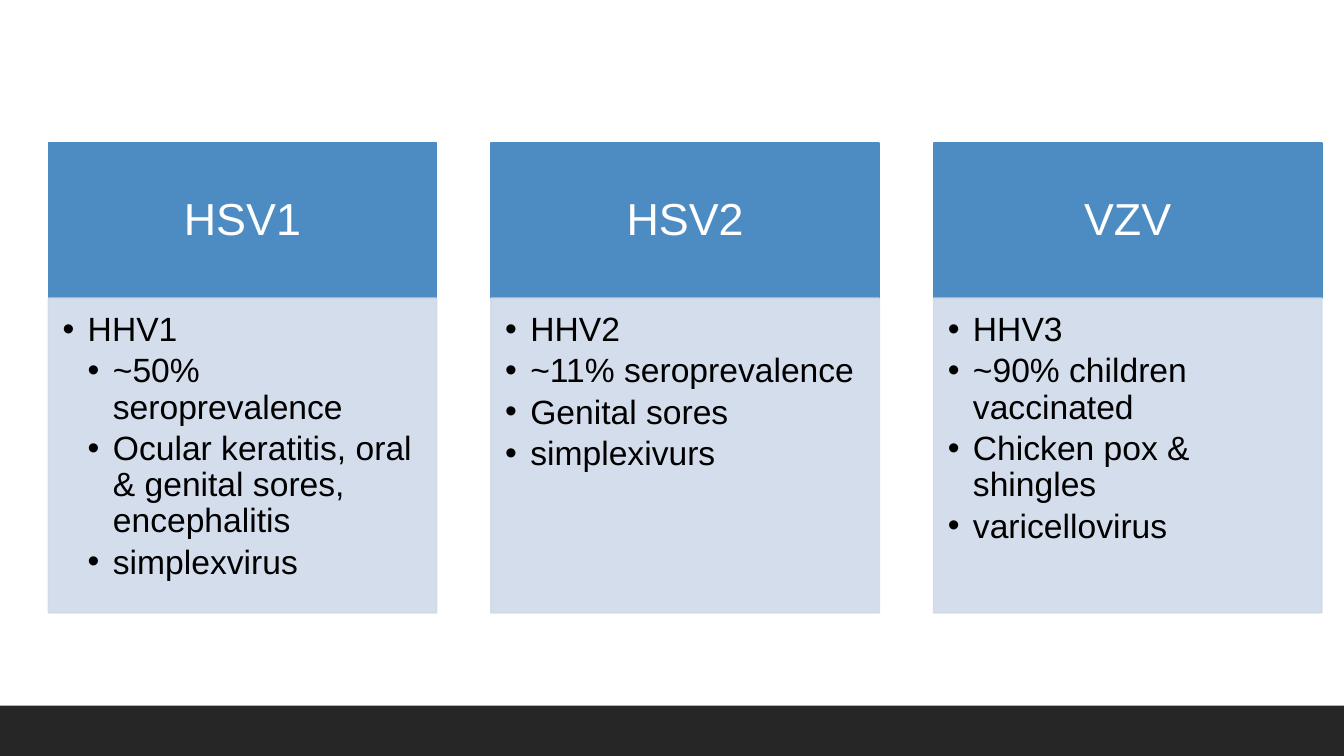
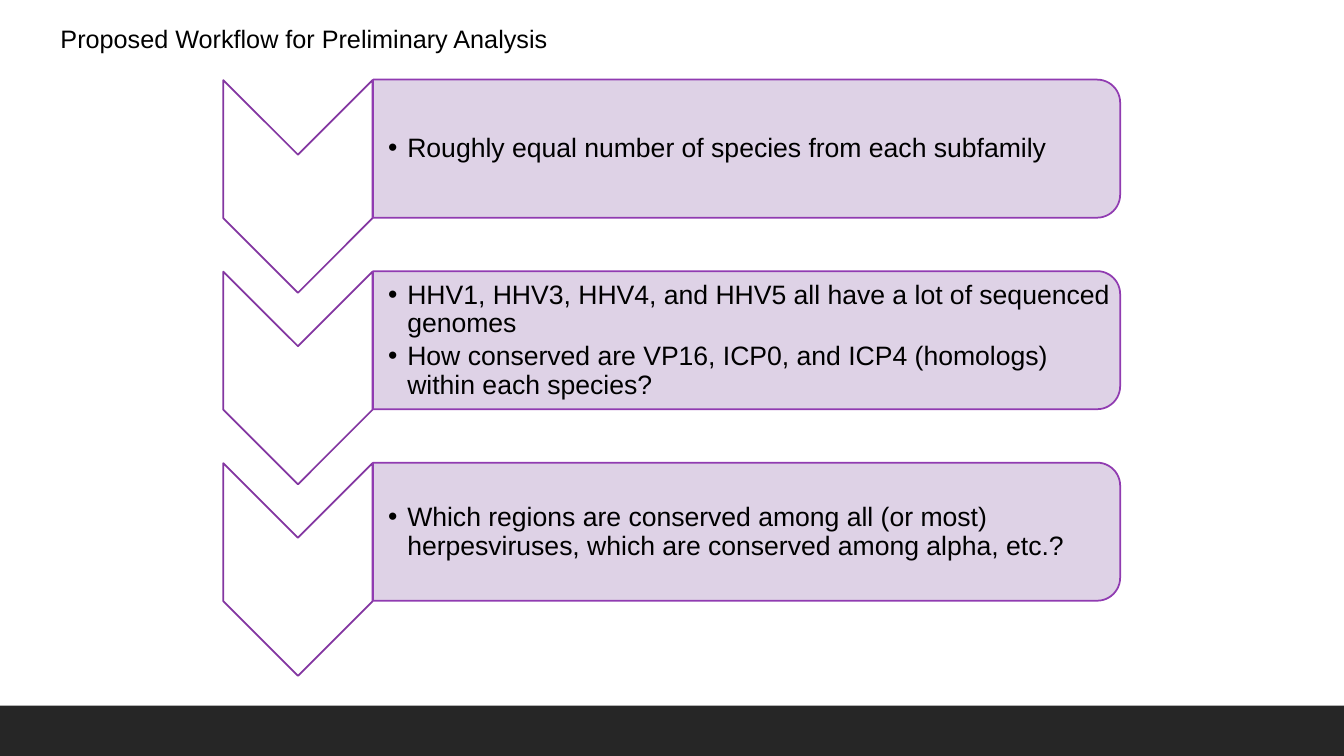
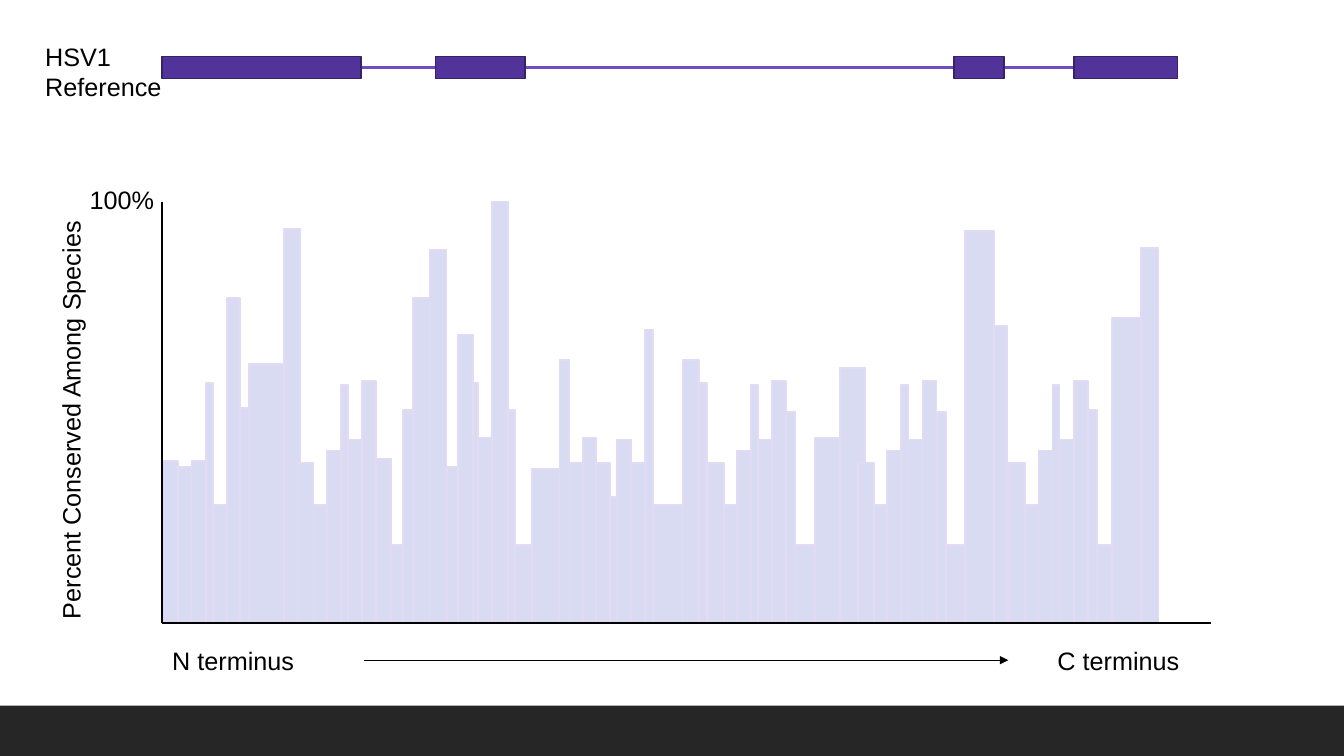
from lxml.etree import SubElement
from pptx import Presentation
from pptx.dml.color import RGBColor
from pptx.enum.shapes import MSO_CONNECTOR as LINK, MSO_SHAPE as KIND
from pptx.enum.text import MSO_ANCHOR as ANCHOR, MSO_AUTO_SIZE as FIT, PP_ALIGN as ALIGN
from pptx.oxml.ns import qn
from pptx.util import Pt

PX = 9144
WIDE, HIGH = 1333, 750
FONT = "Arial"
COLORS = {
    "white": "FFFFFF", "black": "000000", "band": "262626",
    "blue": "4D8CC3", "pale": "D0DAE9",
    "arrow": "8336A1", "lilac": "DBCEE4", "edge": "903BB1",
    "bar": "D8DBF1", "rim": "E2DBF3",
    "exon": "513399", "dark": "362266", "intron": "704DC3",
}
VIRUSES = [
    ("HSV1", [("HHV1", 0), ("~50% seroprevalence", 1),
              ("Ocular keratitis, oral & genital sores, encephalitis", 1),
              ("simplexvirus", 1)]),
    ("HSV2", [("HHV2", 0), ("~11% seroprevalence", 0),
              ("Genital sores", 0), ("simplexivurs", 0)]),
    ("VZV", [("HHV3", 0), ("~90% children vaccinated", 0),
             ("Chicken pox & shingles", 0), ("varicellovirus", 0)]),
]
STEPS = [
    ["Roughly equal number of species from each subfamily"],
    ["HHV1, HHV3, HHV4, and HHV5 all have a lot of sequenced genomes",
     "How conserved are VP16, ICP0, and ICP4 (homologs) within each species?"],
    ["Which regions are conserved among all (or most) herpesviruses, "
     "which are conserved among alpha, etc.?"],
]

ORIGIN, BASE = 161, 618
AXIS, RISE = 1040, 418
EXONS = [(0, 197), (271, 89), (785, 50), (904, 103)]

# (length, percent)
MOTIF = [(16, 38), (13, 28), (14, 41), (7, 56.5), (14, 43.5), (14, 57.5)]
DIP = [(9, 50), (19, 18.5)]
HEAD = [(16, 38.5), (13, 37), (14, 38.5), (7, 57), (14, 28), (13, 77),
        (9, 51), (35, 61.5), (16, 93.5)]
RAMP = [(15, 39), (12, 18.5), (10, 50.5), (16, 77), (17, 88.5)]
PEAK = [(11, 37), (15, 68.5), (5, 57), (14, 44), (16, 100), (7, 50.5),
        (17, 18.5), (27, 36.5), (10, 62.5)]
MIDDLE = [(13, 38), (13, 44), (14, 38), (7, 30), (14, 43.5), (14, 38),
          (8, 69.5), (29, 28), (16, 62.5), (8, 57)]
REGIONS = [
    (0, HEAD),
    (134, MOTIF + RAMP + PEAK + MIDDLE),
    (541, MOTIF + DIP + [(25, 44), (25, 60.5)]),
    (690, MOTIF + DIP + [(29, 93), (13, 70.5)]),
    (840, MOTIF + [(9, 50.5), (15, 18.5), (29, 72.5), (17, 89)]),
]


def tint(name):
    return RGBColor.from_string(COLORS[name])


def emu(lengths):
    return [n * PX for n in lengths]


def bullet(para, level, step):
    props = para._p.get_or_add_pPr()
    props.set("marL", str(step * (level + 1) * PX))
    props.set("indent", str(-step * PX))
    SubElement(props, qn("a:buFont"), typeface=FONT)
    SubElement(props, qn("a:buChar"), char="•")


def write(shape, items, size=18, color="black", align=ALIGN.LEFT, anchor=ANCHOR.TOP,
          inset=(10, 5, 10, 5), step=0, lines=1.0, after=0):
    frame = shape.text_frame
    frame.word_wrap = True
    frame.auto_size = FIT.NONE
    frame.vertical_anchor = anchor
    (frame.margin_left, frame.margin_top,
     frame.margin_right, frame.margin_bottom) = emu(inset)
    for i, (text, level) in enumerate(items):
        para = frame.paragraphs[0] if i == 0 else frame.add_paragraph()
        para.alignment = align
        para.line_spacing = lines
        para.space_before = Pt(0)
        para.space_after = Pt(after)
        if step:
            para.level = level
            bullet(para, level, step)
        run = para.add_run()
        run.text = text
        run.font.name = FONT
        run.font.size = Pt(size)
        run.font.bold = False
        run.font.color.rgb = tint(color)


def label(slide, items, box, turn=0, **style):
    shape = slide.shapes.add_textbox(*emu(box))
    shape.rotation = turn
    write(shape, [(text, 0) for text in items], **style)


def block(slide, box, fill, edge=None, kind=KIND.RECTANGLE, turn=0, alpha=100):
    shape = slide.shapes.add_shape(kind, *emu(box))
    shape.shadow.inherit = False
    shape.rotation = turn
    shape.fill.solid()
    shape.fill.fore_color.rgb = tint(fill)
    if edge:
        shape.line.color.rgb = tint(edge)
        shape.line.width = Pt(1.25)
    else:
        shape.line.fill.background()
    if alpha < 100:
        for node in shape.element.spPr.iter(qn("a:srgbClr")):
            if node.get("val") == COLORS[fill]:
                SubElement(node, qn("a:alpha"), val=str(alpha * 1000))
    return shape


def link(slide, start, end, color="black", width=1.5, arrow=False):
    line = slide.shapes.add_connector(LINK.STRAIGHT, *emu(start + end))
    line.line.color.rgb = tint(color)
    line.line.width = Pt(width)
    props = line.element.spPr
    if arrow:
        SubElement(props.find(qn("a:ln")), qn("a:tailEnd"), type="triangle")
    SubElement(props, qn("a:effectLst"))
    return line


def add_band(deck, slide):
    tall = 50
    band = block(slide, (0, HIGH - tall, WIDE, tall), "band")
    deck.slide_master.shapes.element.append(band.element)


def add_title(slide, text):
    title = slide.shapes.title
    title.left, title.top, title.width, title.height = emu((50, 18, 699, 40))
    write(title, [(text, 0)])


def virus_slide(slide):
    left, top, width, pitch = 48, 142, 385, 439
    cap, tall = 154, 312
    for i, (name, facts) in enumerate(VIRUSES):
        x = left + i * pitch
        head = block(slide, (x, top, width, cap), "blue", "blue")
        write(head, [(name, 0)], size=32, color="white", align=ALIGN.CENTER,
              anchor=ANCHOR.MIDDLE, inset=(25, 14, 25, 14), lines=0.9)
        body = block(slide, (x, top + cap, width, tall), "pale", "pale", alpha=90)
        write(body, facts, size=24, inset=(14, 14, 19, 21), step=25, lines=0.9, after=3.6)


def upright(left, top, width, height):
    shift = (width - height) // 2
    return left + shift, top - shift, height, width


def flow_slide(slide):
    add_title(slide, "Proposed Workflow for Preliminary Analysis")
    left, top, pitch = 222, 79, 190
    arrow, tall = 148, 211
    panel, depth = 741, 137
    for i, notes in enumerate(STEPS):
        x, y = left + arrow, top + i * pitch
        block(slide, upright(left, y, arrow, tall), "white", "arrow",
              KIND.CHEVRON, 90)
        block(slide, upright(x, y, panel, depth), "lilac", "edge",
              KIND.ROUND_2_SAME_RECTANGLE, 90, 90)
        label(slide, notes, (x, y + 7, panel - 7, depth - 13), size=19,
              anchor=ANCHOR.MIDDLE, inset=(15, 1, 1, 1), step=19, lines=0.9, after=2.85)


def add_bars(slide):
    for start, bars in REGIONS:
        x = ORIGIN + start
        for length, percent in bars:
            height = round(RISE * percent / 100)
            block(slide, (x, BASE - height, length, height), "bar", "rim")
            x += length


def add_axes(slide):
    corner = (ORIGIN, BASE)
    link(slide, (ORIGIN + AXIS, BASE), corner)
    link(slide, (ORIGIN, BASE - RISE), corner)
    label(slide, ["100%"], (79, BASE - RISE - 22, 104, 40))
    label(slide, ["Percent Conserved Among Species"], (-149, 385, 438, 40), turn=270)
    row = BASE + 37
    for text, x in (("N terminus", ORIGIN), ("C terminus", 1039)):
        label(slide, [text], (x, row - 20, 200, 40))
    link(slide, (ORIGIN + 200, row), (1000, row), width=1, arrow=True)


def add_gene(slide):
    top, tall = 56, 22
    mid = top + tall // 2
    intron = link(slide, (ORIGIN, mid), (1165, mid), "intron", 2.25)
    exons = [block(slide, (ORIGIN + start, top, length, tall), "exon", "dark")
             for start, length in EXONS]
    intron.begin_connect(exons[0], 1)
    label(slide, ["HSV1 Reference"], (35, 36, 155, 71))


def plot_slide(slide):
    add_bars(slide)
    add_axes(slide)
    add_gene(slide)


def main():
    deck = Presentation()
    deck.slide_width, deck.slide_height = emu((WIDE, HIGH))
    plain, titled = deck.slide_layouts[6], deck.slide_layouts[5]
    first = deck.slides.add_slide(plain)
    add_band(deck, first)
    virus_slide(first)
    flow_slide(deck.slides.add_slide(titled))
    plot_slide(deck.slides.add_slide(plain))
    deck.save("out.pptx")


if __name__ == "__main__":
    main()
